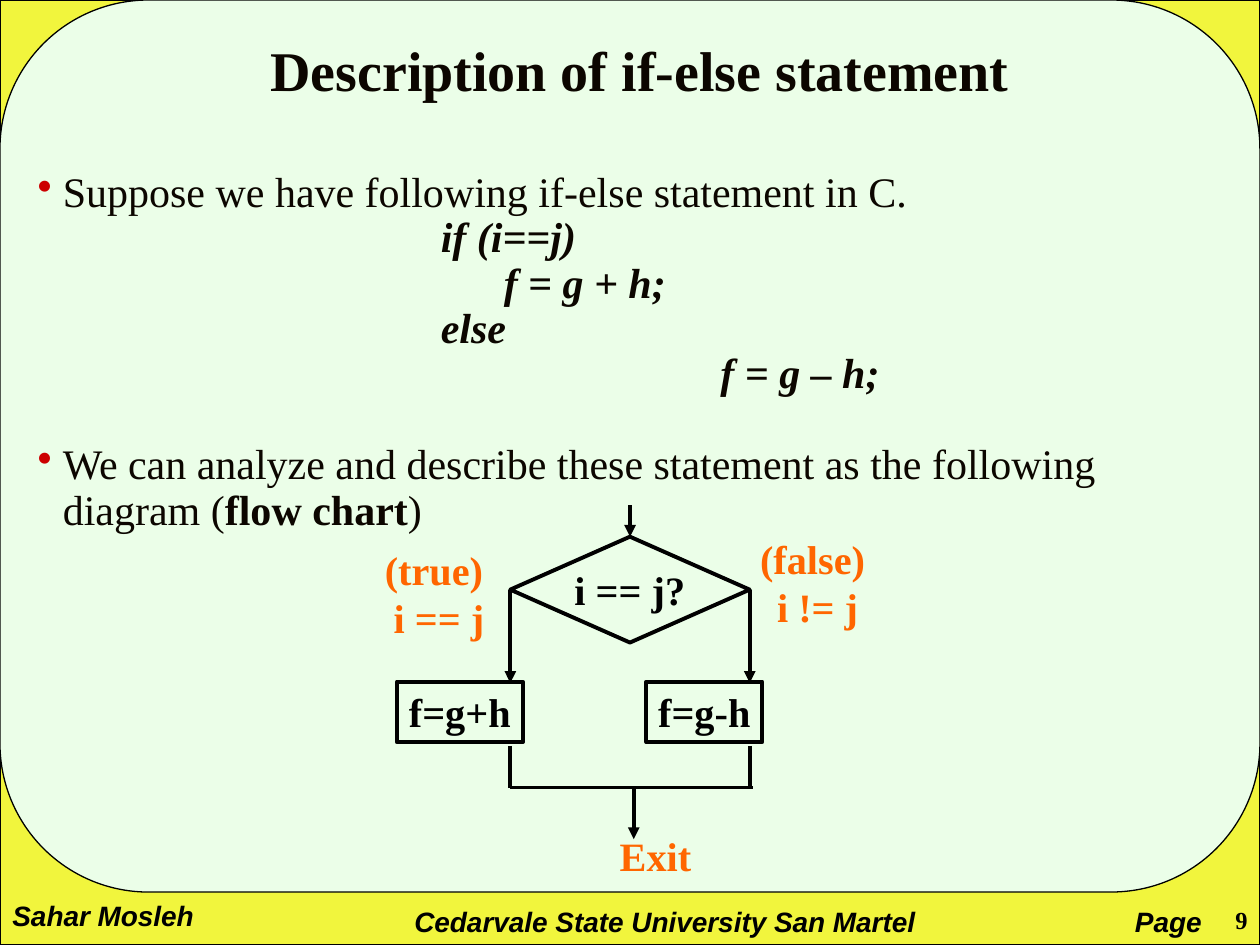
from lxml import etree
from pptx import Presentation
from pptx.dml.color import RGBColor
from pptx.enum.shapes import MSO_CONNECTOR, MSO_SHAPE
from pptx.enum.text import MSO_ANCHOR, PP_ALIGN
from pptx.oxml.ns import qn
from pptx.util import Inches, Pt

RECT, ROUND, CHOICE = MSO_SHAPE.RECTANGLE, MSO_SHAPE.ROUNDED_RECTANGLE, MSO_SHAPE.FLOWCHART_DECISION
LINE = MSO_CONNECTOR.STRAIGHT
LEFT, CENTER, RIGHT = PP_ALIGN.LEFT, PP_ALIGN.CENTER, PP_ALIGN.RIGHT
TOP, MIDDLE = MSO_ANCHOR.TOP, MSO_ANCHOR.MIDDLE
SERIF, SANS = "Times New Roman", "Arial"
BLACK, INK, ORANGE, RED = "000000", "0C0600", "FF6600", "CC0000"
YELLOW, MINT = "F1F53D", "EBFEE8"


def color(code):
    """Turn a hex string into a colour."""
    return RGBColor.from_string(code)


def add_run(para, text, size, ink=BLACK, face=SERIF, bold=True, slant=False):
    """Add one formatted run to a paragraph."""
    run = para.add_run()
    run.text = text
    font = run.font
    font.name, font.size, font.bold, font.italic = face, Pt(size), bold, slant
    font.color.rgb = color(ink)


def set_frame(frame, wrap=True, anchor=TOP, side=0.1):
    """Set the wrapping, anchor and insets of a text frame."""
    frame.word_wrap, frame.vertical_anchor = wrap, anchor
    frame.margin_left = frame.margin_right = Inches(side)
    frame.margin_top = frame.margin_bottom = Inches(0.05)


def add_text(slide, box, lines, size, align=LEFT, wrap=True, **look):
    """Add a text box whose lines are parted by line breaks."""
    frame = slide.shapes.add_textbox(*map(Inches, box)).text_frame
    set_frame(frame, wrap)
    para = frame.paragraphs[0]
    para.alignment = align
    for i, line in enumerate(lines):
        if i:
            para.add_line_break()
        add_run(para, line, size, **look)


def add_box(slide, kind, box, fill=None, width=2.25, text=None):
    """Add an outlined shape with an optional centred caption."""
    shape = slide.shapes.add_shape(kind, *map(Inches, box))
    shape.shadow.inherit = False
    if fill:
        shape.fill.solid()
        shape.fill.fore_color.rgb = color(fill)
    else:
        shape.fill.background()
    shape.line.color.rgb = color(BLACK)
    shape.line.width = Pt(width)
    if text:
        set_frame(shape.text_frame, False, MIDDLE, 0)
        para = shape.text_frame.paragraphs[0]
        para.alignment = CENTER
        add_run(para, text, 23)
    return shape


def add_line(slide, start, end, arrow=False):
    """Add a straight black line, with an arrowhead if asked."""
    line = slide.shapes.add_connector(LINE, *map(Inches, start + end))
    line.line.color.rgb = color(BLACK)
    line.line.width = Pt(2.25)
    props = line.element.spPr
    if arrow:
        etree.SubElement(props.find(qn("a:ln")), qn("a:tailEnd"), type="triangle")
    etree.SubElement(props, qn("a:effectLst"))
    return line


def add_title(slide, text):
    """Place the title in front of the backdrop."""
    title = slide.shapes.title
    title.left, title.top, title.width, title.height = map(Inches, (0.31, 0.29, 9.54, 0.6))
    slide.shapes.element.append(title.element)
    set_frame(title.text_frame)
    para = title.text_frame.paragraphs[0]
    para.alignment, para.line_spacing = CENTER, 0.9
    add_run(para, text, 32, INK)


def add_para(frame, left, first=False, bullet=False, gap=0):
    """Add a body paragraph with its indent, gap and bullet."""
    para = frame.paragraphs[0] if first else frame.add_paragraph()
    para.line_spacing, para.space_before = 0.9, Pt(gap)
    props = para._p.get_or_add_pPr()
    props.set("marL", str(Inches(left)))
    props.set("indent", str(-Inches(left) if bullet else 0))
    if bullet:
        paint = etree.SubElement(props, qn("a:buClr"))
        etree.SubElement(paint, qn("a:srgbClr"), val=RED)
        etree.SubElement(props, qn("a:buChar"), char="•")
    return para


def add_body(slide):
    """Add the bullets and the code between them."""
    box = slide.shapes.add_textbox(*map(Inches, (0.2, 1.31, 9.54, 3)))
    frame = box.text_frame
    set_frame(frame)
    para = add_para(frame, 0.2, first=True, bullet=True)
    add_run(para, "Suppose we have following if-else statement in C.", 24, INK, bold=False)
    code = (("if (i==j)", 3.2), ("f = g + h;", 3.7), ("else", 3.2), ("f = g – h;", 5.42))
    for text, left in code:
        add_run(add_para(frame, left), text, 24, INK, slant=True)
    para = add_para(frame, 0.2, bullet=True, gap=26)
    parts = (("We can analyze and describe these statement as the following diagram (", False),
             ("flow chart", True), (")", False))
    for text, bold in parts:
        add_run(para, text, 24, INK, bold=bold)


def add_flow(slide):
    """Draw the flow chart of the two branches."""
    left, right, mid, join = 4.05, 5.95, 5.03, 6.25
    choice = add_box(slide, CHOICE, (left, 4.26, right - left, 0.84), text="i == j?")
    add_line(slide, (5, 4.01), (5, 4.26), True).end_connect(choice, 0)
    add_box(slide, RECT, (3.15, 5.41, 1, 0.48), text="f=g+h")
    add_box(slide, RECT, (5.13, 5.41, 0.92, 0.48), text="f=g-h")
    for x, site in ((left, 1), (right, 3)):
        add_line(slide, (x, 4.68), (x, 5.42), True).begin_connect(choice, site)
        add_line(slide, (x, 5.92), (x, join))
    add_line(slide, (left, join), (5.98, join))
    add_line(slide, (mid, join), (mid, 6.66), True)
    add_text(slide, (2.92, 4.28, 1.13, 0.86), ("(true) ", "i == j"), 23, CENTER, ink=ORANGE)
    add_text(slide, (5.86, 4.19, 1.26, 0.86), ("(false) ", "i != j"), 23, CENTER, ink=ORANGE)
    add_text(slide, (4.82, 6.55, 0.9, 0.48), ("Exit",), 23, ink=ORANGE)


def add_foot(slide):
    """Add the footer line and the page number."""
    notes = (("Sahar Mosleh", (0, 7.08, 1.65, 0.37)),
             ("Cedarvale State University San Martel", (3.19, 7.13, 4.26, 0.37)),
             ("Page", (8.91, 7.13, 0.8, 0.37)))
    for text, box in notes:
        add_text(slide, box, (text,), 16, face=SANS, slant=True)
    add_text(slide, (9.25, 7.13, 0.75, 0.37), ("9",), 14, RIGHT)


def main():
    """Build the slide and save it."""
    deck = Presentation()
    deck.slide_width, deck.slide_height = Inches(10), Inches(7.5)
    slide = deck.slides.add_slide(deck.slide_layouts[5])
    add_box(slide, RECT, (0, 0, 10, 7.5), YELLOW, 0.75)
    add_box(slide, ROUND, (0, 0, 10, 7.08), MINT, 0.75)
    add_foot(slide)
    add_title(slide, "Description of if-else statement")
    add_body(slide)
    add_flow(slide)
    deck.save("out.pptx")


if __name__ == "__main__":
    main()
